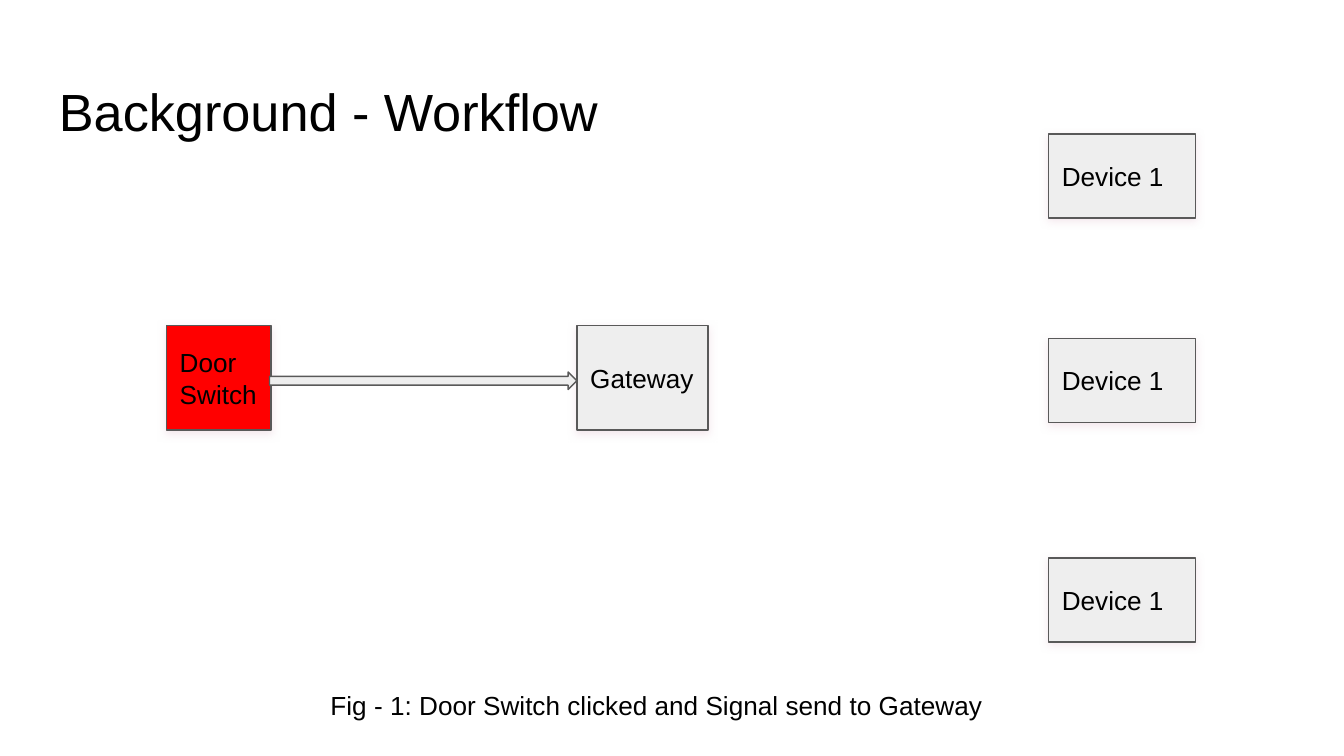
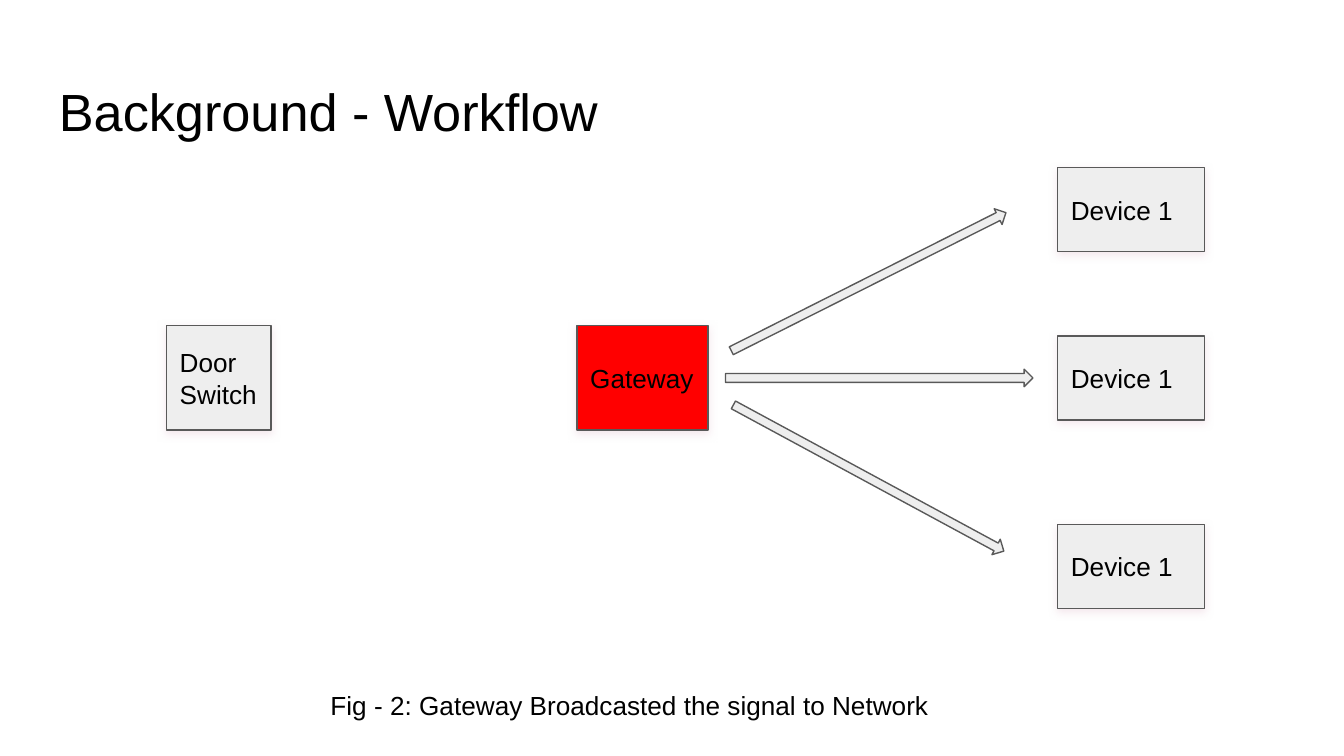
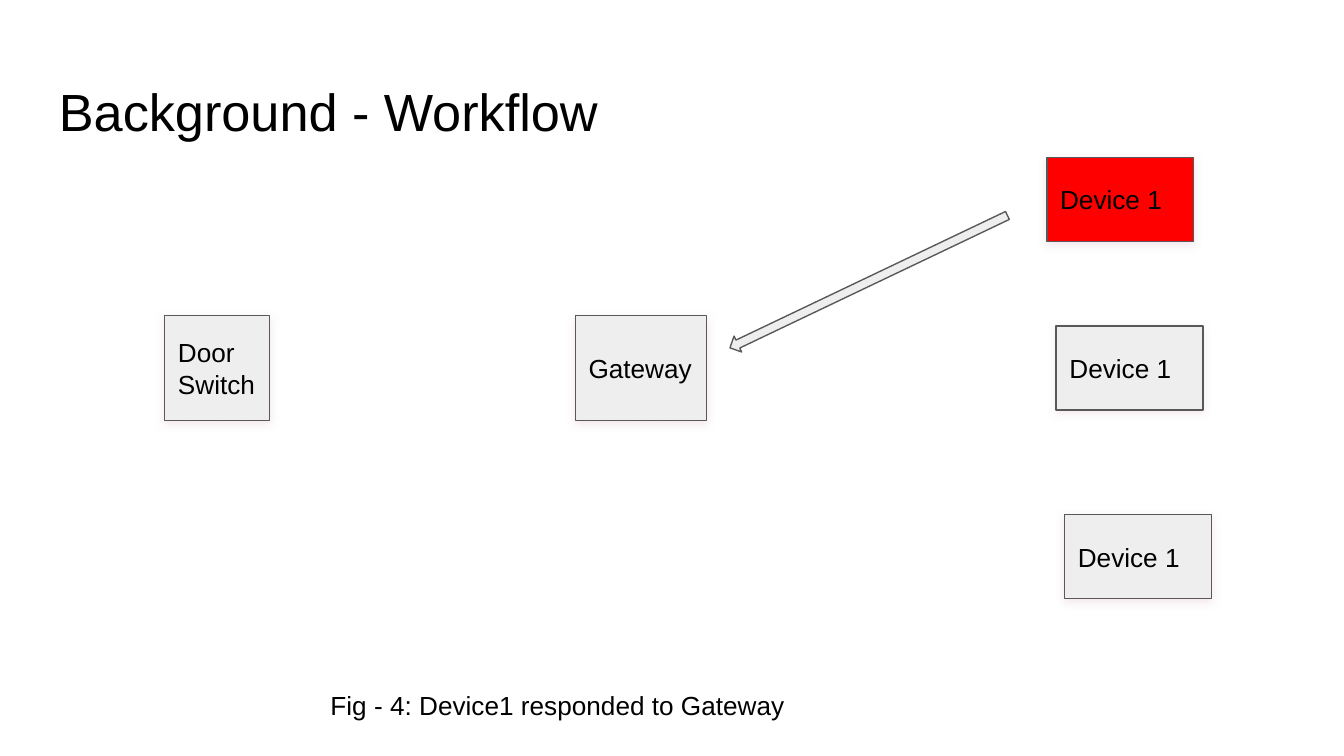
from dataclasses import dataclass
from lxml import etree
from pptx import Presentation
from pptx.dml.color import RGBColor
from pptx.enum import shapes, text
from pptx.oxml import ns
from pptx.util import Pt


@dataclass(frozen=True)
class Theme:
    font: str = "Arial"
    ink: str = "000000"
    paper: str = "FFFFFF"
    node: str = "EEEEEE"
    hot: str = "FF0000"
    edge: str = "595959"
    shade: str = "EAD1DC"
    head: int = 28
    body: int = 14
    line: float = 0.75
    pad: float = 7.2


LOOK = Theme()
TITLE = (24.5, 35.4, 671, 45)
NOTE = (170, 362.4, 380, 28.8)
SWITCH, GATE, DEVICE = (56, 56), (70.3, 56), (78.6, 45)
ARROW = (164.7, 9.4)


def color(code):
    return RGBColor.from_string(code)


def write(shape, words, size=LOOK.body, anchor=text.MSO_ANCHOR.TOP):
    frame = shape.text_frame
    frame.word_wrap = True
    frame.vertical_anchor = anchor
    frame.margin_left = frame.margin_right = Pt(LOOK.pad)
    frame.margin_top = frame.margin_bottom = Pt(LOOK.pad)
    para = frame.paragraphs[0]
    para.alignment = text.PP_ALIGN.LEFT
    run = para.add_run()
    run.text = words
    run.font.name = LOOK.font
    run.font.size = Pt(size)
    run.font.color.rgb = color(LOOK.ink)


def label(slide, box, words, **form):
    write(slide.shapes.add_textbox(*map(Pt, box)), words, **form)


def draw(parts, kind, box, fill=LOOK.node):
    shape = parts.add_shape(kind, *map(Pt, box))
    shape.fill.solid()
    shape.fill.fore_color.rgb = color(fill)
    shape.line.color.rgb = color(LOOK.edge)
    shape.line.width = Pt(LOOK.line)
    shape.shadow.inherit = False
    return shape


def shade(shape):
    # Soft shadow falling straight down
    effects = shape._element.spPr.find(ns.qn("a:effectLst"))
    outer = etree.SubElement(effects, ns.qn("a:outerShdw"), blurRad=str(Pt(4.5)),
                             dist=str(Pt(1.5)), dir="5400000",
                             algn="bl", rotWithShape="0")
    tint = etree.SubElement(outer, ns.qn("a:srgbClr"), val=LOOK.shade)
    etree.SubElement(tint, ns.qn("a:alpha"), val="50000")


def network(slide, left, top, devices, hot):
    # Switch, gateway and devices; device places count from the switch corner
    nodes = [("Door Switch", (0, 0), SWITCH), ("Gateway", (219.9, 0), GATE)]
    nodes += [("Device 1", place, DEVICE) for place in devices]
    group = slide.shapes.add_group_shape()
    for index, (name, (x, y), size) in enumerate(nodes):
        fill = LOOK.hot if index == hot else LOOK.node
        node = draw(group.shapes, shapes.MSO_SHAPE.RECTANGLE,
                    (left + x, top + y, *size), fill)
        shade(node)
        write(node, name, anchor=text.MSO_ANCHOR.MIDDLE)


def signal(slide, left, top, turn=0):
    arrow = draw(slide.shapes, shapes.MSO_SHAPE.RIGHT_ARROW, (left, top, *ARROW))
    arrow.rotation = turn


def workflow(deck, note, left, top, devices, hot, signals):
    slide = deck.slides.add_slide(deck.slide_layouts[6])
    slide.background.fill.solid()
    slide.background.fill.fore_color.rgb = color(LOOK.paper)
    label(slide, TITLE, "Background - Workflow", size=LOOK.head)
    network(slide, left, top, devices, hot)
    label(slide, NOTE, note)
    for place in signals:
        signal(slide, *place)


deck = Presentation()
deck.slide_width, deck.slide_height = Pt(720), Pt(405)

# Switch calls the gateway
workflow(deck, "Fig - 1: Door Switch clicked and Signal send to Gateway",
         89.2, 174.5, [(472.5, y) for y in (-102.7, 6.8, 124.4)], 0,
         [(144.4, 199.3)])

# Gateway calls every device
workflow(deck, "Fig - 2: Gateway Broadcasted the signal to Network",
         89.2, 174.5, [(477.4, y) for y in (-84.7, 5.5, 106.5)], 1,
         [(388.7, 197.8), (383, 146.2, 333.3), (383, 251.4, 28.4)])

# First device answers
workflow(deck, "Fig - 4: Device1 responded to Gateway",
         88.3, 169.2, [(472.5, -84.9), (477.5, 5.4), (482, 106.5)], 2,
         [(383, 146.2, 154.5)])

deck.save("out.pptx")
